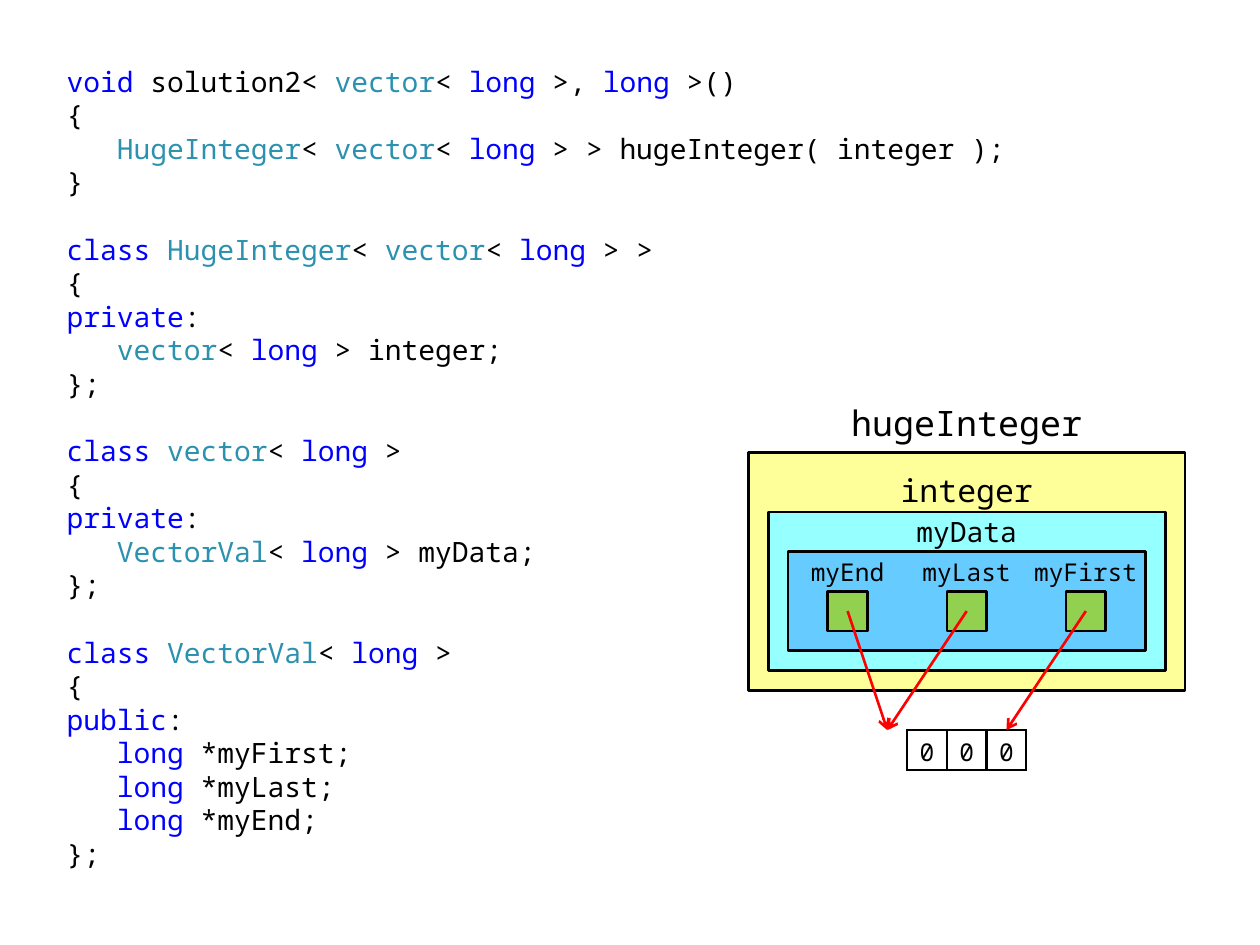
"""Build a slide showing template class code beside its memory layout."""
from itertools import groupby

from lxml.etree import SubElement
from pptx import Presentation
from pptx.dml.color import RGBColor
from pptx.enum.shapes import MSO_CONNECTOR as CONNECTOR, MSO_SHAPE as SHAPE
from pptx.enum.text import MSO_ANCHOR as ANCHOR, PP_ALIGN as ALIGN
from pptx.oxml.ns import qn
from pptx.util import Inches, Pt

FONT = "Noto Sans Mono"
COLORS = {
    "text": "000000", "keyword": "0000FF", "type": "2B91AF", "arrow": "FF0000",
    "object": "FFFF99", "vector": "96FFFF", "value": "66CCFF", "pointer": "92D050",
}
WORD_KINDS = {
    **dict.fromkeys(["void", "class", "private", "public", "long"], "keyword"),
    **dict.fromkeys(["HugeInteger", "vector", "VectorVal"], "type"),
}
CODE_BLOCKS = [
    """void solution2< vector< long >, long >()
{
   HugeInteger< vector< long > > hugeInteger( integer );
}""",
    """class HugeInteger< vector< long > >
{
private:
   vector< long > integer;
};""",
    """class vector< long >
{
private:
   VectorVal< long > myData;
};""",
    """class VectorVal< long >
{
public:
   long *myFirst;
   long *myLast;
   long *myEnd;
};""",
]
CODE_SIZE, CODE_PITCH = 16, 19.2

UNIT, ORIGIN_X, ORIGIN_Y = 0.315, 5.94, 3.59
# (column, row, columns wide, rows high)
BOXES = [
    ("object", (0, 0, 11, 6)),
    ("vector", (0.5, 1.5, 10, 4)),
    ("value", (1, 2.5, 9, 2.5)),
]
LABELS = [
    ("hugeInteger", 20, (2, -1.5, 7, 1.5), 0.05, 0.05),
    ("integer", 18, (3.5, 0, 4, 1.5), 0.12, 0),
    ("myData", 16, (3.5, 1.5, 4, 1), 0, 0),
]
POINTERS = [("myEnd", 1, 3.5), ("myLast", 4, 3.5), ("myFirst", 7, 6.5)]
ELEMENTS, ELEMENTS_COLUMN, ELEMENTS_ROW = ["0", "0", "0"], 4, 7


def color(name):
    return RGBColor.from_string(COLORS[name])


def point(column, row):
    return Inches(ORIGIN_X + column * UNIT), Inches(ORIGIN_Y + row * UNIT)


def area(column, row, columns, rows):
    return *point(column, row), Inches(columns * UNIT), Inches(rows * UNIT)


def style_font(font, size, name="text"):
    font.name, font.size, font.color.rgb = FONT, Pt(size), color(name)


def add_code(slide):
    frame = slide.shapes.add_textbox(
        Inches(0.43), Inches(0.46), Inches(7.72), Inches(6.61)).text_frame
    frame.word_wrap = True
    lines = [(line, block_index > 0 and line_index == 0)
             for block_index, block in enumerate(CODE_BLOCKS)
             for line_index, line in enumerate(block.split("\n"))]
    frame.text = "\n".join(line for line, _ in lines)
    for paragraph, (line, starts_block) in zip(frame.paragraphs, lines):
        paragraph.line_spacing = Pt(CODE_PITCH)
        paragraph.space_before = Pt(CODE_PITCH if starts_block else 0)
        paragraph.clear()
        words = ["".join(group) for _, group in groupby(line, str.isalnum)]
        for kind, group in groupby(words, lambda word: WORD_KINDS.get(word, "text")):
            run = paragraph.add_run()
            run.text = "".join(group)
            style_font(run.font, CODE_SIZE, kind)


def add_box(slide, kind, place, preset=SHAPE.FLOWCHART_PROCESS):
    shape = slide.shapes.add_shape(preset, *area(*place))
    shape.shadow.inherit = False
    shape.fill.solid()
    shape.fill.fore_color.rgb = color(kind)
    shape.line.color.rgb = color("text")
    shape.line.width = Pt(1.5)


def add_label(slide, text, size, place, top=0.05, bottom=0.05, side=0.08):
    frame = slide.shapes.add_textbox(*area(*place)).text_frame
    frame.word_wrap = True
    frame.vertical_anchor = ANCHOR.MIDDLE
    frame.margin_top, frame.margin_bottom = Inches(top), Inches(bottom)
    frame.margin_left = frame.margin_right = Inches(side)
    frame.text = text
    paragraph = frame.paragraphs[0]
    paragraph.alignment = ALIGN.CENTER
    style_font(paragraph.runs[0].font, size)


def add_arrow(slide, start, end):
    connector = slide.shapes.add_connector(
        CONNECTOR.STRAIGHT, *point(*start), *point(*end))
    connector.line.color.rgb = color("arrow")
    connector.line.width = Pt(1.5)
    SubElement(connector.line._get_or_add_ln(), qn("a:tailEnd"), type="arrow")
    SubElement(connector._element.spPr, qn("a:effectLst"))


def add_elements(slide):
    count = len(ELEMENTS)
    table = slide.shapes.add_table(
        1, count, *area(ELEMENTS_COLUMN, ELEMENTS_ROW, count, 1)).table
    table.first_row = table.horz_banding = False
    for cell, text in zip(table.iter_cells(), ELEMENTS):
        cell.text = text
        cell.vertical_anchor = ANCHOR.MIDDLE
        cell.margin_left = cell.margin_right = Inches(0.06)
        cell.margin_top = cell.margin_bottom = Inches(0.04)
        paragraph = cell.text_frame.paragraphs[0]
        paragraph.alignment = ALIGN.CENTER
        style_font(paragraph.runs[0].font, 14)
        properties = cell._tc.get_or_add_tcPr()
        for side in ("lnL", "lnR", "lnT", "lnB"):
            border = SubElement(properties, qn(f"a:{side}"), w=str(Pt(1.5)))
            fill = SubElement(border, qn("a:solidFill"))
            SubElement(fill, qn("a:srgbClr"), val=COLORS["text"])
        cell.fill.background()


def main():
    presentation = Presentation()
    presentation.slide_width, presentation.slide_height = Inches(10), Inches(7.5)
    slide = presentation.slides.add_slide(presentation.slide_layouts[6])
    add_code(slide)
    for kind, place in BOXES:
        add_box(slide, kind, place)
    for text, size, place, top, bottom in LABELS:
        add_label(slide, text, size, place, top, bottom)
    for name, column, _ in POINTERS:
        add_label(slide, name, 14, (column, 2.5, 3, 1), side=0.04)
        add_box(slide, "pointer", (column + 1, 3.5, 1, 1), SHAPE.RECTANGLE)
    add_elements(slide)
    for _, column, target in POINTERS:
        add_arrow(slide, (column + 1.5, 4), (target, ELEMENTS_ROW))
    presentation.save("out.pptx")


if __name__ == "__main__":
    main()
